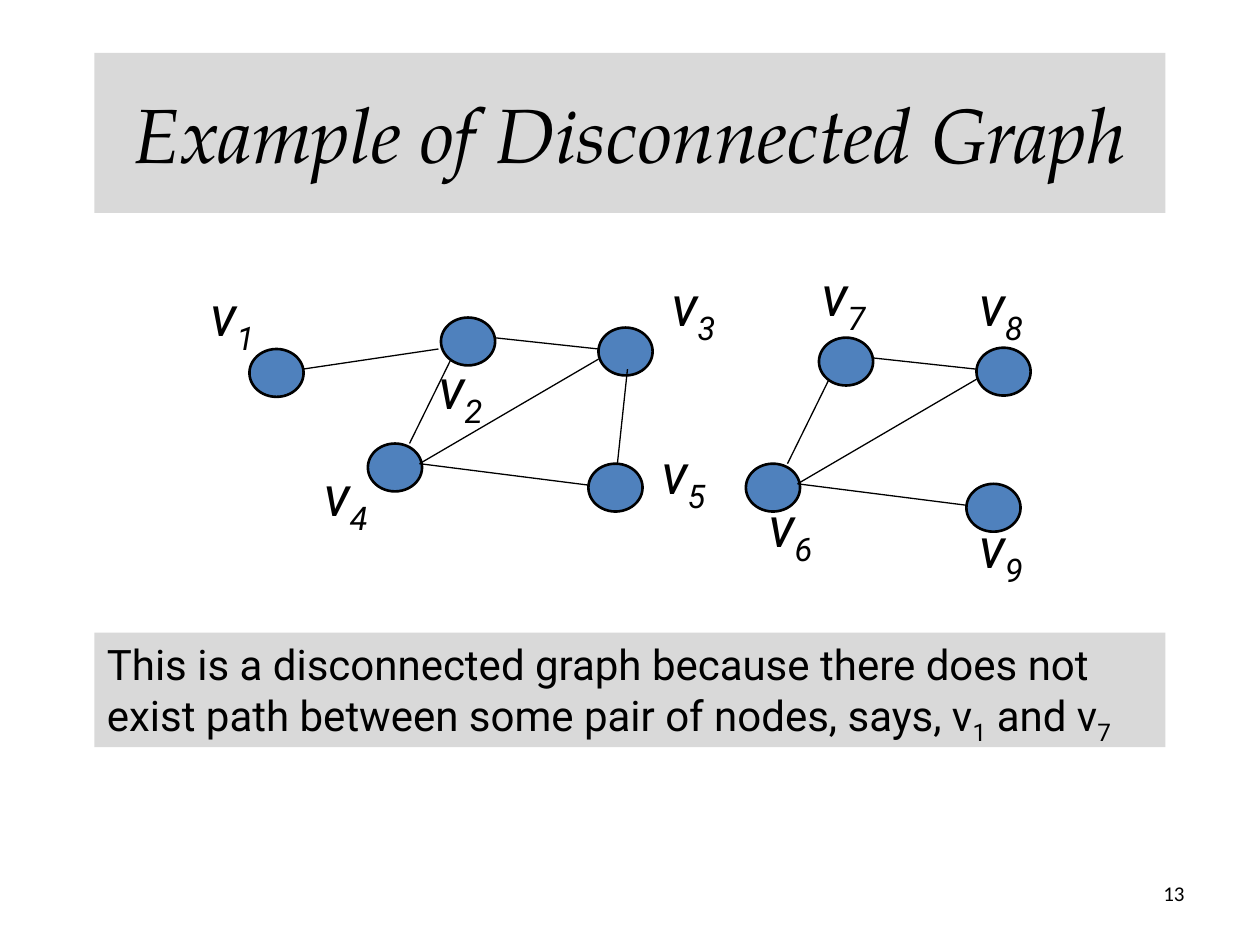
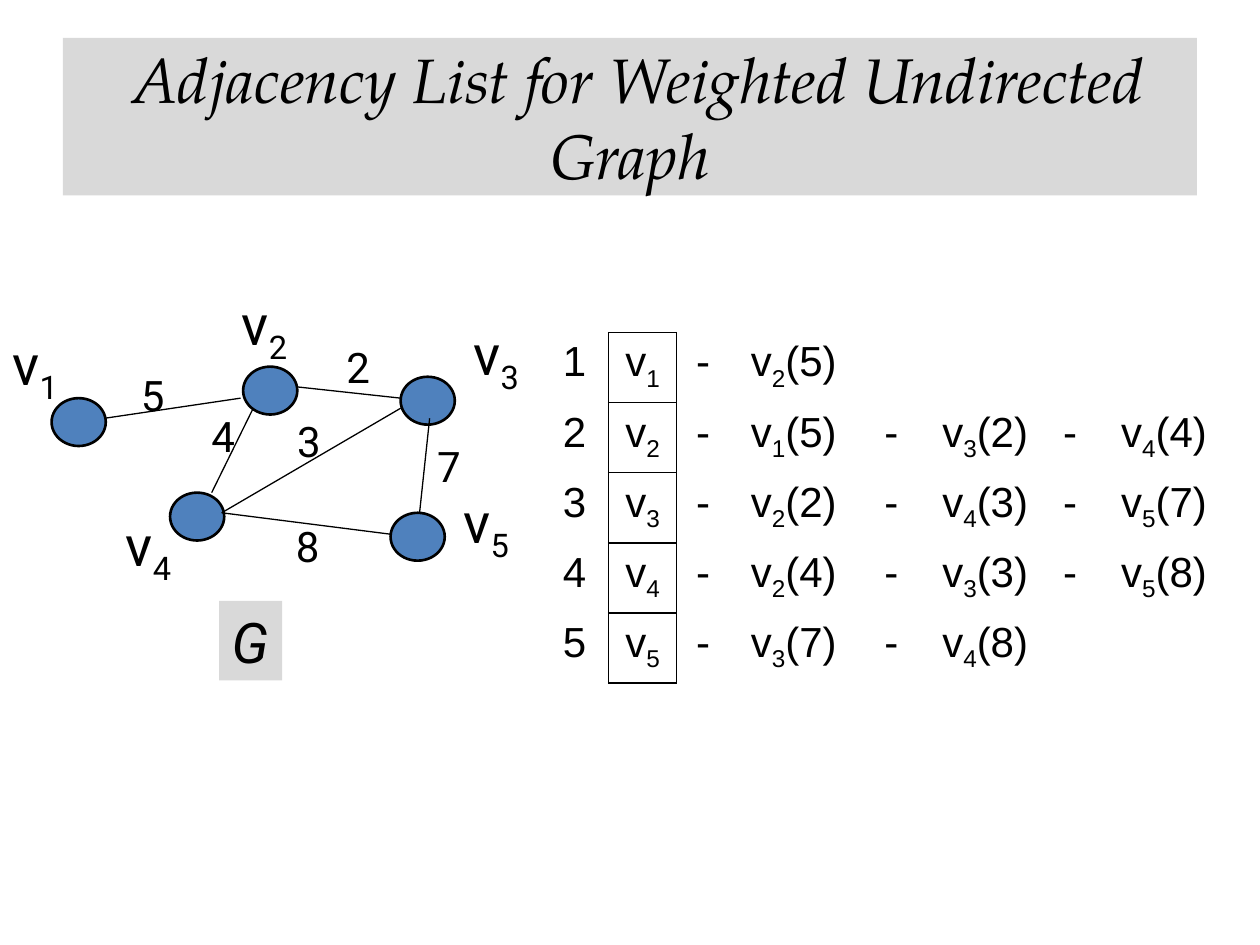
from lxml import etree
from pptx import Presentation
from pptx.dml.color import RGBColor
from pptx.enum.shapes import MSO_CONNECTOR, MSO_SHAPE
from pptx.enum.text import MSO_ANCHOR, MSO_AUTO_SIZE, PP_ALIGN
from pptx.oxml.ns import qn
from pptx.util import Inches, Pt

RECTANGLE, ELLIPSE = MSO_SHAPE.RECTANGLE, MSO_SHAPE.OVAL
STRAIGHT = MSO_CONNECTOR.STRAIGHT
LEFT, CENTER, RIGHT = PP_ALIGN.LEFT, PP_ALIGN.CENTER, PP_ALIGN.RIGHT
TOP, MIDDLE = MSO_ANCHOR.TOP, MSO_ANCHOR.MIDDLE
GROW = MSO_AUTO_SIZE.SHAPE_TO_FIT_TEXT

BLACK = RGBColor(0x00, 0x00, 0x00)
BAND_GRAY = RGBColor(0xD9, 0xD9, 0xD9)
NODE_BLUE = RGBColor(0x4F, 0x81, 0xBD)
TITLE_FONT, BODY_FONT = "TeX Gyre Pagella", "Roboto"
TABLE_FONT, NUMBER_FONT = "Arial", "Calibri"

NODE_SIZE = (0.43, 0.38)
LABEL_SIZE = (0.59, 0.64)
WEIGHT_SIZE = (0.38, 0.5)

KITE_NODES = [(0.58, 0), (1.83, 0.08), (1.75, 1.16), (0, 1)]
KITE_EDGES = [
    ((1.83, 0.25), (1, 0.16)),
    ((1.75, 1.33), (0.41, 1.16)),
    ((1.83, 0.33), (0.41, 1.16)),
    ((0.66, 0.33), (0.33, 1)),
]
TAIL_NODE = (-0.94, 0.25)
TAIL_EDGES = [((-0.52, 0.41), (0.56, 0.25)), ((1.98, 1.16), (2.06, 0.41))]
TAILED_LABELS = {1: (-1.35, -0.34), 3: (2.31, -0.42), 4: (-0.45, 1.09), 5: (2.23, 0.91)}
KITE_LABELS = {6: (0.08, 1.17), 7: (0.5, -0.66), 8: (1.75, -0.58), 9: (1.75, 1.34)}

EDGE_WEIGHTS = {(1, 2): 5, (2, 3): 2, (3, 4): 3, (3, 5): 7, (4, 5): 8, (2, 4): 4}
WEIGHT_PLACES = {
    (1, 2): (-0.33, -0.03),
    (2, 3): (1.3, -0.25),
    (3, 4): (0.91, 0.34),
    (3, 5): (2.02, 0.54),
    (4, 5): (0.9, 1.17),
    (2, 4): (0.23, 0.3),
}
COLUMN_WIDTHS = [0.54, 0.54, 0.42, 1.02, 0.53, 0.96, 0.39, 1.1]
TABLE_HEIGHT = 2.78


def write_spans(frame, parts, font, size, align=LEFT, italic=False):
    """Write parts as runs of one paragraph, every second one a subscript."""
    para = frame.paragraphs[0]
    para.alignment = align
    for index, part in enumerate(parts):
        span = para.add_run()
        span.text = part
        span.font.name = font
        span.font.size = Pt(size)
        span.font.italic = italic
        span.font.color.rgb = BLACK
        if index % 2:
            span.font._element.set("baseline", "-25000")


def add_label(shapes, place, size, parts, font_size, italic=False):
    """Add a non-wrapping text box."""
    box = shapes.add_textbox(*map(Inches, (*place, *size)))
    box.text_frame.word_wrap = False
    box.text_frame.auto_size = GROW
    write_spans(box.text_frame, parts, BODY_FONT, font_size, italic=italic)
    return box


def add_band(page, bounds, parts, font, size, align, anchor, italic=False):
    """Add a gray rectangle with text."""
    band = page.shapes.add_shape(RECTANGLE, *map(Inches, bounds))
    band.shadow.inherit = False
    band.fill.solid()
    band.fill.fore_color.rgb = BAND_GRAY
    band.line.fill.background()
    band.text_frame.word_wrap = True
    band.text_frame.vertical_anchor = anchor
    write_spans(band.text_frame, parts, font, size, align, italic)


def add_title(page, bounds, title, size):
    """Add the italic title band."""
    add_band(page, bounds, [title], TITLE_FONT, size, CENTER, MIDDLE, True)


def add_page_number(page, bounds, number):
    """Add the slide number."""
    box = page.shapes.add_textbox(*map(Inches, bounds))
    box.text_frame.word_wrap = True
    box.text_frame.vertical_anchor = MIDDLE
    write_spans(box.text_frame, [str(number)], NUMBER_FONT, 12, RIGHT)


def shift(origin, offset):
    """Return the point that lies at an offset from the origin."""
    return origin[0] + offset[0], origin[1] + offset[1]


def add_node(shapes, place):
    """Add one graph node."""
    node = shapes.add_shape(ELLIPSE, *map(Inches, (*place, *NODE_SIZE)))
    node.shadow.inherit = False
    node.fill.solid()
    node.fill.fore_color.rgb = NODE_BLUE
    node.line.color.rgb = BLACK
    node.line.width = Pt(1.5)


def add_edge(shapes, start, end):
    """Add one thin graph edge."""
    edge = shapes.add_connector(STRAIGHT, *map(Inches, (*start, *end)))
    edge.line.color.rgb = BLACK
    edge.line.width = Pt(0.75)
    etree.SubElement(edge._element.spPr, qn("a:effectLst"))


def draw_graph(shapes, origin, labels, tailed=False, italic=False):
    """Draw the four-node kite, with the extra node and edges if tailed."""
    nodes = KITE_NODES + [TAIL_NODE] * tailed
    edges = KITE_EDGES + TAIL_EDGES * tailed
    for offset in nodes:
        add_node(shapes, shift(origin, offset))
    for start, end in edges:
        add_edge(shapes, shift(origin, start), shift(origin, end))
    for number, offset in labels.items():
        parts = ["v", str(number)]
        add_label(shapes, shift(origin, offset), LABEL_SIZE, parts, 32, italic)


def draw_weighted_graph(page, origin):
    """Draw the named five-node graph with its edge weights as a group."""
    shapes = page.shapes.add_group_shape().shapes
    draw_graph(shapes, origin, TAILED_LABELS | {2: (0.47, -0.66)}, tailed=True)
    name = add_label(shapes, shift(origin, (0.39, 1.86)), (0.5, 0.63), ["G"], 32, True)
    name.fill.solid()
    name.fill.fore_color.rgb = BAND_GRAY
    for edge, offset in WEIGHT_PLACES.items():
        weight = str(EDGE_WEIGHTS[edge])
        add_label(shapes, shift(origin, offset), WEIGHT_SIZE, [weight], 24)


def adjacency_row(vertex):
    """Return the cell texts of one vertex, each as a list of parts."""
    neighbours = sorted(
        (sum(edge) - vertex, weight)
        for edge, weight in EDGE_WEIGHTS.items()
        if vertex in edge
    )
    row = [[str(vertex)], ["v", str(vertex)]]
    for neighbour, weight in neighbours:
        row += [["-"], ["v", str(neighbour), f"({weight})"]]
    return row


def set_borders(cell, visible_sides):
    """Draw the named cell borders and clear the others."""
    properties = cell._tc.get_or_add_tcPr()
    for side in "LRTB":
        border = etree.SubElement(properties, qn(f"a:ln{side}"), w=str(Pt(1)))
        if side in visible_sides:
            fill = etree.SubElement(border, qn("a:solidFill"))
            etree.SubElement(fill, qn("a:srgbClr"), val=str(BLACK))
        else:
            etree.SubElement(border, qn("a:noFill"))


def add_adjacency_table(page, left, top):
    """Add the adjacency list, with the vertex column boxed."""
    rows = [adjacency_row(vertex) for vertex in range(1, 6)]
    frame = page.shapes.add_table(
        len(rows), len(COLUMN_WIDTHS),
        *map(Inches, (left, top, sum(COLUMN_WIDTHS), TABLE_HEIGHT)),
    )
    table = frame.table
    table.first_row = table.horz_banding = False
    for column, width in zip(table.columns, COLUMN_WIDTHS):
        column.width = Inches(width)
    visible_sides = {0: "R", 1: "LRTB", 2: "L"}
    for row_index, row in enumerate(rows):
        for column_index in range(len(COLUMN_WIDTHS)):
            cell = table.cell(row_index, column_index)
            set_borders(cell, visible_sides.get(column_index, ""))
            cell.fill.background()
            if column_index < len(row):
                write_spans(cell.text_frame, row[column_index], TABLE_FONT, 24, CENTER)


def build_disconnected_slide(page):
    """Build the slide on the disconnected graph."""
    add_page_number(page, (7.17, 6.83, 2.33, 0.52), 13)
    add_title(page, (0.75, 0.42, 8.5, 1.27), "Example of Disconnected Graph", 44)
    labels = TAILED_LABELS | {2: (0.46, 0.24)}
    draw_graph(page.shapes, (2.92, 2.52), labels, tailed=True, italic=True)
    draw_graph(page.shapes, (5.92, 2.68), KITE_LABELS, italic=True)
    explanation = [
        "This is a disconnected graph because there does not exist path "
        "between some pair of nodes, says, v",
        "1", " and v", "7",
    ]
    add_band(page, (0.75, 5.02, 8.5, 0.91), explanation, BODY_FONT, 24, LEFT, TOP)


def build_adjacency_slide(page):
    """Build the slide on the weighted adjacency list."""
    title = " Adjacency List for Weighted Undirected Graph"
    add_title(page, (0.5, 0.3, 9, 1.25), title, 36)
    draw_weighted_graph(page, (1.35, 2.91))
    add_adjacency_table(page, 4.29, 2.64)


def main():
    """Build and save the deck."""
    deck = Presentation()
    deck.slide_width, deck.slide_height = Inches(10), Inches(7.5)
    blank = deck.slide_layouts[6]
    for build in (build_disconnected_slide, build_adjacency_slide):
        build(deck.slides.add_slide(blank))
    deck.save("out.pptx")


if __name__ == "__main__":
    main()
